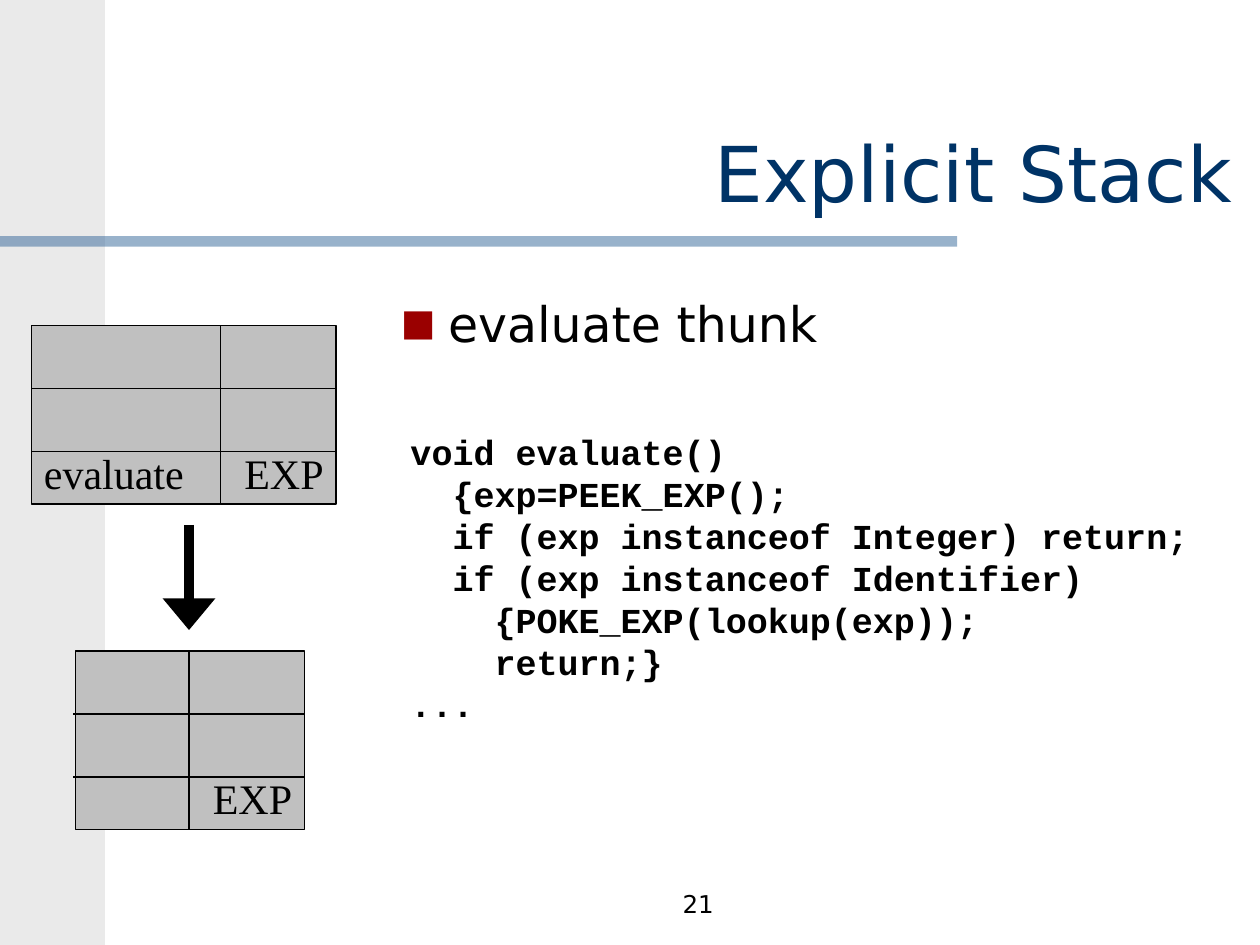
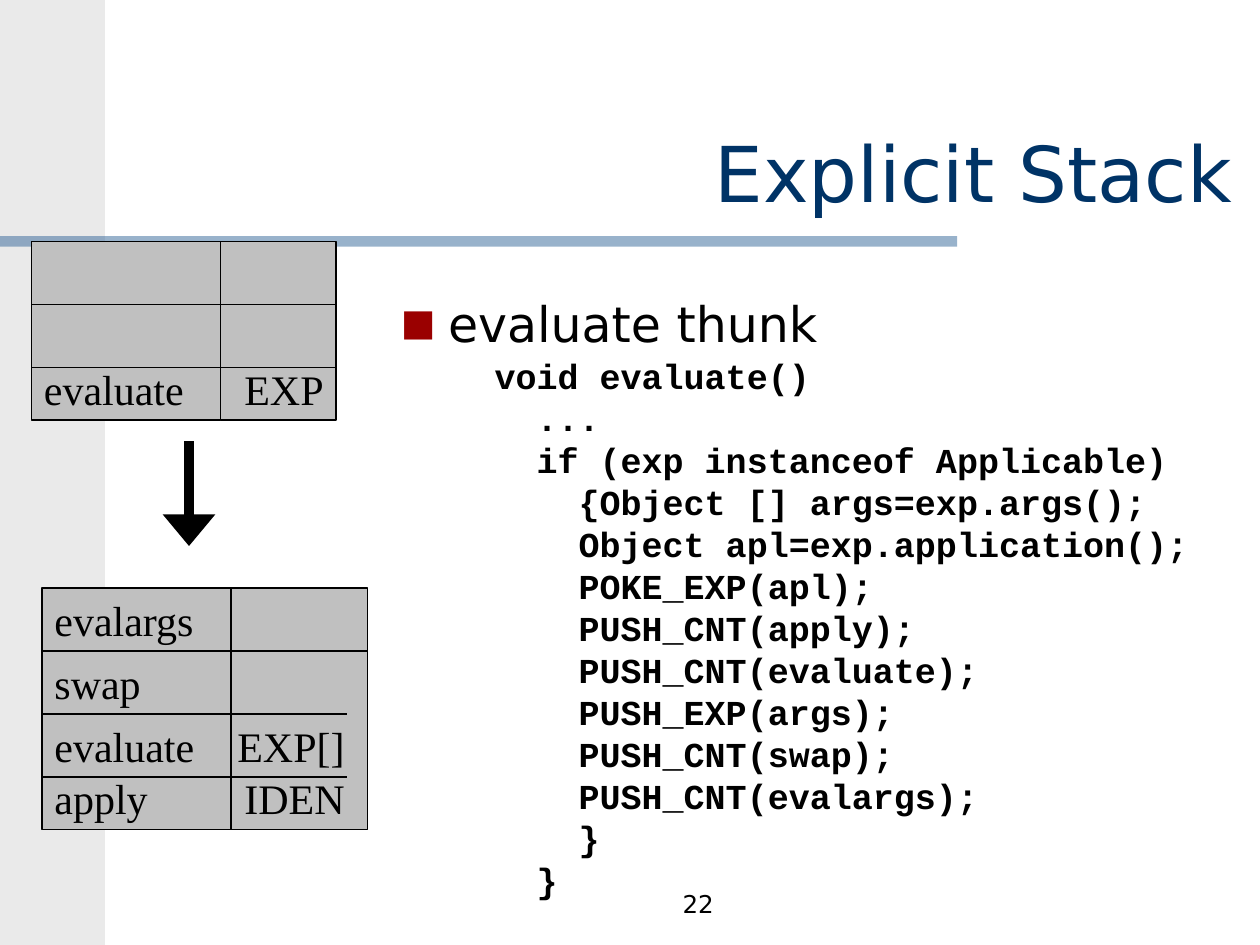
from dataclasses import dataclass

from lxml.etree import SubElement
from pptx import Presentation
from pptx.dml.color import RGBColor
from pptx.enum.shapes import MSO_CONNECTOR, MSO_SHAPE
from pptx.enum.text import MSO_ANCHOR, PP_ALIGN
from pptx.oxml.ns import qn
from pptx.util import Pt


@dataclass(frozen=True)
class Theme:
    # Colours
    margin: str = "EAEAEA"
    page: str = "FFFFFF"
    band: str = "336699"
    heading: str = "003366"
    ink: str = "000000"
    cell: str = "C0C0C0"
    bullet: str = "9A0000"
    # Fonts
    sans: str = "DejaVu Sans"
    serif: str = "Times New Roman"
    mono: str = "Courier New"
    # Type sizes
    title_size: int = 44
    topic_size: int = 28
    label_size: int = 24
    code_size: int = 20
    number_size: int = 14
    # Line widths
    rule: float = 0.75
    arrow: float = 6


THEME = Theme()
TITLE = {"name": THEME.sans, "size": Pt(THEME.title_size)}
TOPIC = {"name": THEME.sans, "size": Pt(THEME.topic_size)}
LABEL = {"name": THEME.serif, "size": Pt(THEME.label_size)}
CODE = {"name": THEME.mono, "size": Pt(THEME.code_size), "bold": True}
NUMBER = {"name": THEME.sans, "size": Pt(THEME.number_size)}

ROW = 36
STACK_HEIGHT = 102
LABEL_WIDTH = 110

EVALUATE_START = """void evaluate()
  {exp=PEEK_EXP();
  if (exp instanceof Integer) return;
  if (exp instanceof Identifier)
    {POKE_EXP(lookup(exp));
    return;}
..."""

EVALUATE_REST = """void evaluate()
  ...
  if (exp instanceof Applicable)
    {Object [] args=exp.args();
    Object apl=exp.application();
    POKE_EXP(apl);
    PUSH_CNT(apply);
    PUSH_CNT(evaluate);
    PUSH_EXP(args);
    PUSH_CNT(swap);
    PUSH_CNT(evalargs);
    }
  }"""


def rgb(colour):
    return RGBColor.from_string(colour)


def add_text(slide, box, text, style, colour=THEME.ink, align=PP_ALIGN.LEFT,
             anchor=MSO_ANCHOR.BOTTOM, wrap=True, spacing=None):
    frame = slide.shapes.add_textbox(*map(Pt, box)).text_frame
    frame.word_wrap = wrap
    frame.vertical_anchor = anchor
    frame.text = text
    for paragraph in frame.paragraphs:
        paragraph.alignment = align
        if spacing:
            paragraph.line_spacing = Pt(spacing)
        for run in paragraph.runs:
            for attribute, value in style.items():
                setattr(run.font, attribute, value)
            run.font.color.rgb = rgb(colour)
    return frame


def add_box(slide, box, fill, outline=None):
    shape = slide.shapes.add_shape(MSO_SHAPE.RECTANGLE, *map(Pt, box))
    shape.shadow.inherit = False
    shape.fill.solid()
    shape.fill.fore_color.rgb = rgb(fill)
    if outline:
        shape.line.color.rgb = rgb(outline)
        shape.line.width = Pt(THEME.rule)
    else:
        shape.line.fill.background()
    return shape


def add_line(slide, start, end, width):
    line = slide.shapes.add_connector(
        MSO_CONNECTOR.STRAIGHT, *map(Pt, (*start, *end)))
    line.line.color.rgb = rgb(THEME.ink)
    line.line.width = Pt(width)
    SubElement(line._element.spPr, qn("a:effectLst"))
    return line


def draw_frame(slide, number):
    """Margin, page, band, number and title shared by the slides."""
    slide.background.fill.solid()
    slide.background.fill.fore_color.rgb = rgb(THEME.margin)
    add_box(slide, (60, 0, 660, 540), THEME.page)
    band = add_box(slide, (0, 135, 547, 6), THEME.band)
    colour = band._element.spPr.find(f".//{qn('a:srgbClr')}")
    SubElement(colour, qn("a:alpha"), val="50000")
    add_text(slide, (348, 502, 102, 26.5), str(number), NUMBER,
             align=PP_ALIGN.CENTER)
    add_text(slide, (68, 67.5, 643.5, 60.5), "Explicit Stack", TITLE,
             THEME.heading, PP_ALIGN.RIGHT)


def draw_topic(slide, box, text):
    """Bulleted topic line."""
    frame = add_text(slide, box, text, TOPIC, anchor=MSO_ANCHOR.TOP)
    properties = frame.paragraphs[0]._p.get_or_add_pPr()
    properties.set("marL", str(Pt(27)))
    properties.set("indent", str(-Pt(27)))
    SubElement(SubElement(properties, qn("a:buClr")), qn("a:srgbClr"),
               val=THEME.bullet)
    SubElement(properties, qn("a:buSzPct"), val="75000")
    SubElement(properties, qn("a:buFont"), typeface=THEME.sans)
    SubElement(properties, qn("a:buChar"), char="■")


def draw_stack(slide, box, split, rows, rule_ends=None, label_end=None):
    """Two stacks side by side; split is the width of the first."""
    left, top, width, height = box
    rule_start, rule_end = rule_ends or (0, width)
    label_end = label_end or width
    add_box(slide, (left, top, split, height), THEME.cell, THEME.ink)
    add_box(slide, (left + split, top, width - split, height),
            THEME.cell, THEME.ink)
    # Rules between the rows
    for row in range(1, len(rows)):
        y = top + row * ROW
        add_line(slide, (left + rule_start, y), (left + rule_end, y),
                 THEME.rule)
    # Labels stand on the bottom of their rows
    for row, (control, expression) in enumerate(rows, 1):
        label_top = top + min(row * ROW, height) - ROW
        if control:
            add_text(slide, (left, label_top, LABEL_WIDTH, ROW), control,
                     LABEL)
        if expression:
            add_text(slide, (left + label_end - LABEL_WIDTH, label_top,
                             LABEL_WIDTH, ROW),
                     expression, LABEL, align=PP_ALIGN.RIGHT)


def draw_before(slide, left, top):
    """Stack before the step, and the arrow to the stack after it."""
    draw_stack(slide, (left, top, 174, STACK_HEIGHT), 108,
               [("", ""), ("", ""), ("evaluate", "EXP")])
    arrow_top = top + STACK_HEIGHT + 12
    arrow = add_line(slide, (left + 90, arrow_top),
                     (left + 90, arrow_top + 60), THEME.arrow)
    SubElement(arrow.line._get_or_add_ln(), qn("a:tailEnd"),
               type="triangle", w="lg", len="med")


def draw_slide(presentation, number, before_top, code, code_box):
    slide = presentation.slides.add_slide(presentation.slide_layouts[6])
    draw_frame(slide, number)
    draw_before(slide, 18, before_top)
    draw_topic(slide, (222, 164, 498, 318), "evaluate thunk")
    add_text(slide, code_box, code, CODE, wrap=False, spacing=24)
    return slide


def main():
    presentation = Presentation()
    presentation.slide_width, presentation.slide_height = Pt(720), Pt(540)

    # Evaluating a constant or an identifier
    simple = draw_slide(presentation, 21, 186, EVALUATE_START,
                        (227.5, 242, 459.5, 175.5))
    draw_stack(simple, (43, 372, 131, STACK_HEIGHT), 65,
               [("", ""), ("", ""), ("", "EXP")], rule_ends=(-1, 131))

    # Evaluating an application
    application = draw_slide(presentation, 22, 138, EVALUATE_REST,
                             (275.5, 198.5, 411.5, 319.5))
    draw_stack(application, (24, 336, 186, ROW), 108, [("evalargs", "")])
    draw_stack(application, (24, 372, 186, STACK_HEIGHT), 108,
               [("swap", ""), ("evaluate", "EXP[]"), ("apply", "IDEN")],
               rule_ends=(0, 174), label_end=180)

    presentation.save("out.pptx")


if __name__ == "__main__":
    main()
